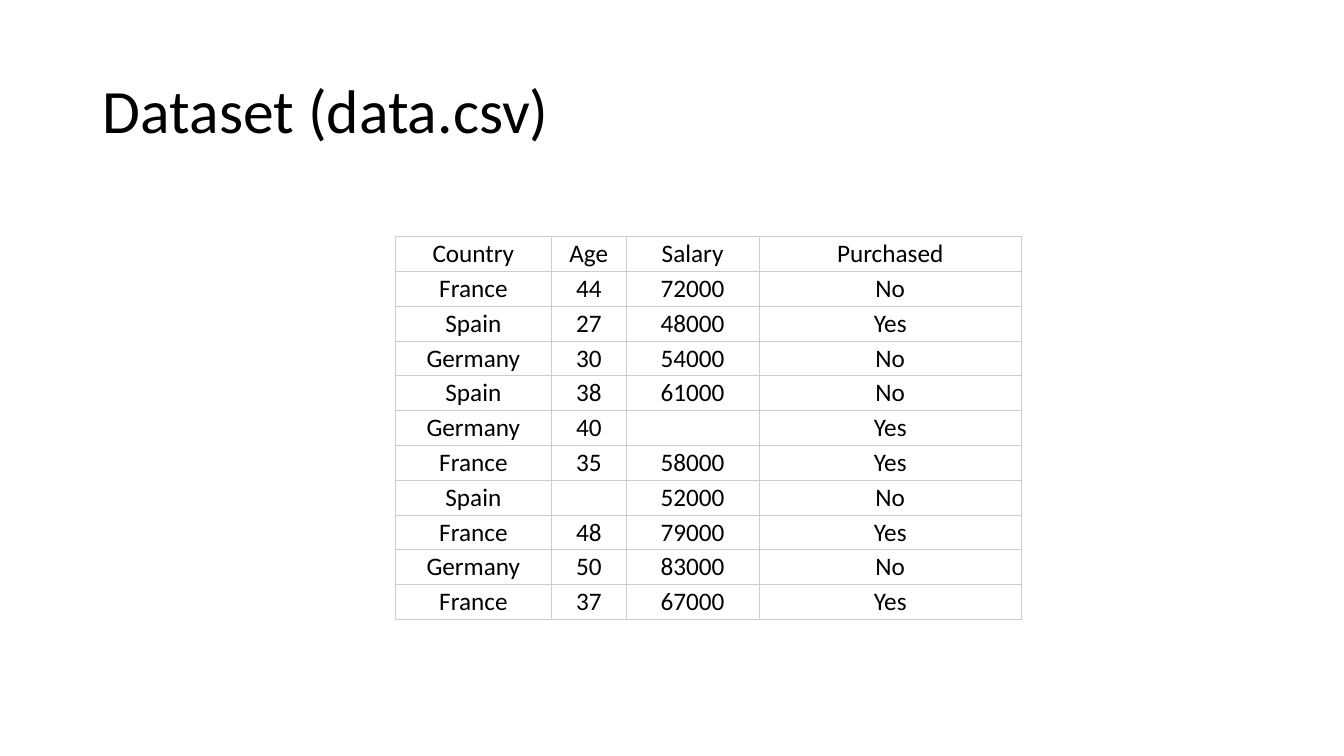
"""Build the dataset slide: a title and a bordered table."""
import lxml.etree
import pptx
import pptx.dml.color
import pptx.enum.text
import pptx.oxml.ns
import pptx.util

Inches = pptx.util.Inches
Pt = pptx.util.Pt
qn = pptx.oxml.ns.qn
PP_ALIGN = pptx.enum.text.PP_ALIGN
MSO_ANCHOR = pptx.enum.text.MSO_ANCHOR


def format_run(r, size, color):
    r.font.name = "Calibri"
    r.font.size = Pt(size)
    r.font.bold = False
    r.font.color.rgb = pptx.dml.color.RGBColor.from_string(color)


def add_borders(cell, color, width):
    tc_pr = cell._tc.get_or_add_tcPr()
    for side in ("lnL", "lnR", "lnT", "lnB"):
        ln = lxml.etree.SubElement(tc_pr, qn("a:" + side), w=str(Pt(width)))
        fill = lxml.etree.SubElement(ln, qn("a:solidFill"))
        lxml.etree.SubElement(fill, qn("a:srgbClr"), val=color)


prs = pptx.Presentation()
prs.slide_width = Inches(13.33)
prs.slide_height = Inches(7.5)
s = prs.slides.add_slide(prs.slide_layouts[5])

title = s.shapes.title
title.left, title.top = Inches(0.92), Inches(0.4)
title.width, title.height = Inches(11.5), Inches(1.45)
tf = title.text_frame
tf.text = "Dataset (data.csv)"
tf.vertical_anchor = MSO_ANCHOR.MIDDLE
p = tf.paragraphs[0]
p.alignment = PP_ALIGN.LEFT
p.line_spacing = 0.9
format_run(p.runs[0], 44, "000000")

rows = [
    ("Country", "Age", "Salary", "Purchased"),
    ("France", "44", "72000", "No"),
    ("Spain", "27", "48000", "Yes"),
    ("Germany", "30", "54000", "No"),
    ("Spain", "38", "61000", "No"),
    ("Germany", "40", "", "Yes"),
    ("France", "35", "58000", "Yes"),
    ("Spain", "", "52000", "No"),
    ("France", "48", "79000", "Yes"),
    ("Germany", "50", "83000", "No"),
    ("France", "37", "67000", "Yes"),
]
widths = [1.55, 0.74, 1.32, 2.6]

frame = s.shapes.add_table(len(rows), len(widths), Inches(3.92), Inches(2.35),
                           Inches(sum(widths)), Inches(3.76))
table = frame.table
table.first_row = False
table.horz_banding = False
for column, width in zip(table.columns, widths):
    column.width = Inches(width)

for i, row in enumerate(rows):
    for j, text in enumerate(row):
        cell = table.cell(i, j)
        add_borders(cell, "CCCCCC", 0.75)
        cell.fill.background()
        cell.margin_left = cell.margin_right = Inches(0.03)
        cell.margin_top = cell.margin_bottom = Inches(0.02)
        cell.vertical_anchor = MSO_ANCHOR.BOTTOM
        p = cell.text_frame.paragraphs[0]
        p.text = text
        p.alignment = PP_ALIGN.CENTER
        for r in p.runs:
            format_run(r, 18, "000000")

prs.save("out.pptx")
